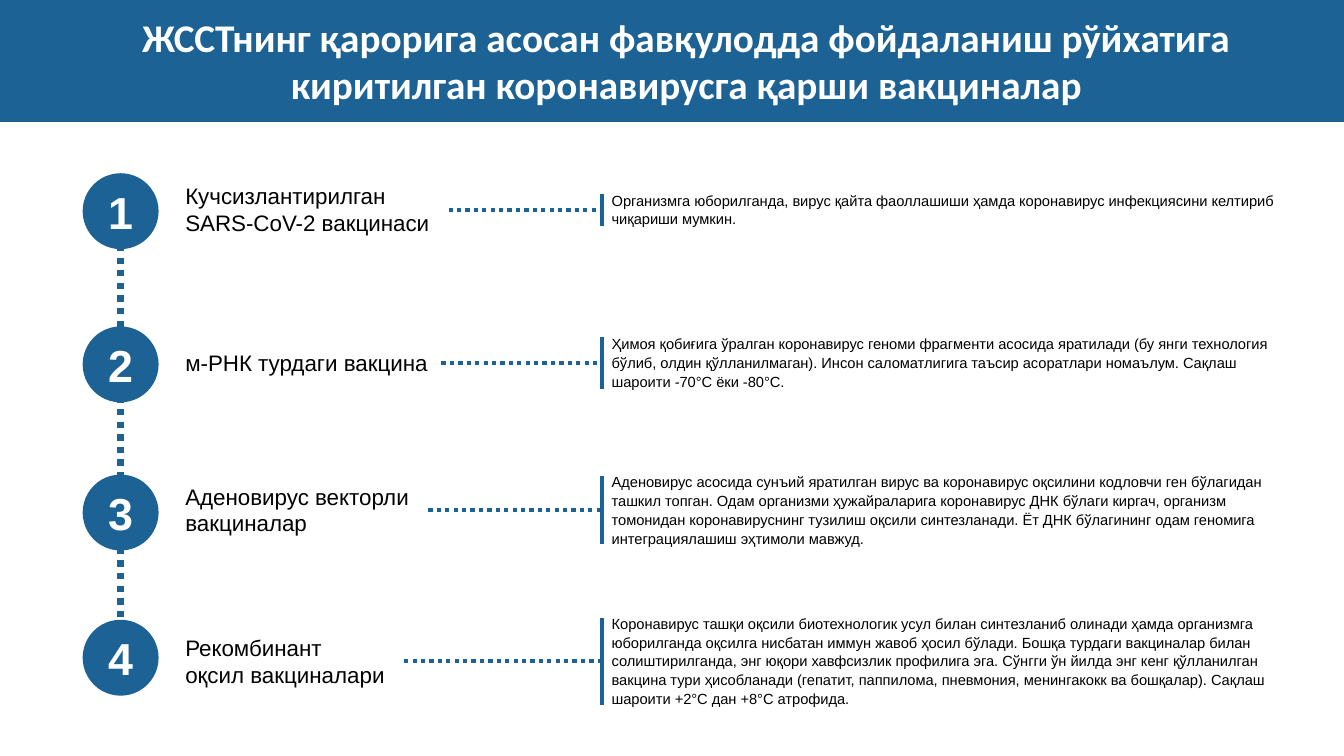
from lxml import etree
from pptx import Presentation
from pptx.dml.color import RGBColor
from pptx.enum.dml import MSO_LINE
from pptx.enum.shapes import MSO_CONNECTOR, MSO_SHAPE
from pptx.enum.text import MSO_ANCHOR, MSO_AUTO_SIZE, PP_ALIGN
from pptx.oxml.ns import qn
from pptx.util import Inches, Pt

RECT, OVAL = MSO_SHAPE.RECTANGLE, MSO_SHAPE.OVAL
STRAIGHT = MSO_CONNECTOR.STRAIGHT
DOTS = MSO_LINE.ROUND_DOT
LEFT, CENTER = PP_ALIGN.LEFT, PP_ALIGN.CENTER
TOP, MIDDLE = MSO_ANCHOR.TOP, MSO_ANCHOR.MIDDLE
GROW = MSO_AUTO_SIZE.SHAPE_TO_FIT_TEXT

COLORS = {"band": "1D6294", "blue": "1D6295", "white": "FFFFFF", "black": "000000"}
COLORS = {name: RGBColor.from_string(value) for name, value in COLORS.items()}

prs = Presentation()
prs.slide_width, prs.slide_height = Inches(13.33), Inches(7.5)
s = prs.slides.add_slide(prs.slide_layouts[6])

# Grid of 40 columns and 30 rows
C, R = prs.slide_width / 40, prs.slide_height / 30


def write(sp, text, size, font="Arial", color="black", bold=False, align=LEFT,
          anchor=TOP, wrap=True, grow=True, spacing=None, after=None):
    tf = sp.text_frame
    tf.word_wrap = wrap
    tf.vertical_anchor = anchor
    if grow:
        tf.auto_size = GROW
    p = tf.paragraphs[0]
    p.text = text
    p.alignment = align
    if spacing:
        p.line_spacing, p.space_after = spacing, Pt(after)
    for r in p.runs:
        r.font.name, r.font.size, r.font.bold = font, Pt(size), bold
        r.font.color.rgb = COLORS[color]


def add_line(x1, y1, x2, y2, width, dash=None):
    ln = s.shapes.add_connector(STRAIGHT, int(x1 * C), int(y1 * R),
                                int(x2 * C), int(y2 * R))
    ln.line.color.rgb = COLORS["blue"]
    ln.line.width = Pt(width)
    if dash:
        ln.line.dash_style = dash
    etree.SubElement(ln._element.spPr, qn("a:effectLst"))


# Title band
band = s.shapes.add_shape(RECT, 0, 0, prs.slide_width, int(4.84 * R))
band.shadow.inherit = False
band.fill.solid()
band.fill.fore_color.rgb = COLORS["band"]
band.line.fill.background()
title = s.shapes.add_textbox(int(1.56 * C), int(0.32 * R), int(37.72 * C), int(4.16 * R))
write(title, "ЖССТнинг қарорига асосан фавқулодда фойдаланиш рўйхатига "
      "киритилган коронавирусга қарши вакциналар",
      28, font="Calibri", color="white", bold=True, align=CENTER)

# Rows: centre, circle centre, label, its width and height,
# description, its height, bar height, line spacing
ROWS = [
    (8.32, 8.38, "Кучсизлантирилган \nSARS-CoV-2 вакцинаси", 8.13, 2.56,
     "Организмга юборилганда, вирус қайта фаоллашиши ҳамда коронавирус "
     "инфекциясини келтириб чиқариши мумкин.", 1.8, 1.28, None),
    (14.4, 14.46, "м-РНК турдаги вакцина", 7.92, 1.48,
     "Ҳимоя қобиғига ўралган коронавирус геноми фрагменти асосида яратилади "
     "(бу янги технология бўлиб, олдин қўлланилмаган). Инсон саломатлигига "
     "таъсир асоратлари номаълум. Сақлаш шароити -70°C ёки -80°C.",
     2.68, 2.04, 1.07),
    (20.24, 20.34, "Аденовирус векторли \nвакциналар", 7.53, 2.56,
     "Аденовирус асосида сунъий яратилган вирус ва коронавирус оқсилини "
     "кодловчи ген бўлагидан ташкил топган. Одам организми ҳужайраларига "
     "коронавирус ДНК бўлаги киргач, организм томонидан коронавируснинг "
     "тузилиш оқсили синтезланади. Ёт ДНК бўлагининг одам геномига "
     "интеграциялашиш эҳтимоли мавжуд.", 3.44, 2.68, 1.07),
    (26.24, 26.1, "Рекомбинант \nоқсил вакциналари", 6.81, 2.56,
     "Коронавирус ташқи оқсили биотехнологик усул билан синтезланиб олинади "
     "ҳамда организмга юборилганда оқсилга нисбатан иммун жавоб ҳосил бўлади. "
     "Бошқа турдаги вакциналар билан солиштирилганда, энг юқори хавфсизлик "
     "профилига эга. Сўнгги ўн йилда энг кенг қўлланилган вакцина тури "
     "ҳисобланади (гепатит, паппилома, пневмония, менингакокк ва бошқалар). "
     "Сақлаш шароити +2°C дан +8°C атрофида.", 4.2, 3.44, 1.07),
]
SPINE, LABEL, BAR, DESC_W = 3.59, 5.22, 17.91, 20.5
DIAMETER = 2.01 * C

# Dotted spine behind the circles
add_line(SPINE, ROWS[0][1] + 1.34, SPINE, ROWS[-1][1] - 1.34, 4.5, DOTS)

for number, (y, circle_y, label, label_w, label_h,
             desc, desc_h, bar_h, spacing) in enumerate(ROWS, 1):
    # Numbered circle
    sp = s.shapes.add_shape(OVAL, int(SPINE * C - DIAMETER / 2),
                            int(circle_y * R - DIAMETER / 2), int(DIAMETER), int(DIAMETER))
    sp.shadow.inherit = False
    sp.fill.solid()
    sp.fill.fore_color.rgb = sp.line.color.rgb = COLORS["blue"]
    sp.line.width = Pt(6)
    write(sp, str(number), 32, color="white", bold=True, align=CENTER,
          anchor=MIDDLE, wrap=False, grow=False)

    # Vaccine type and description
    sp = s.shapes.add_textbox(int(LABEL * C), int((y - label_h / 2) * R),
                              int(label_w * C), int(label_h * R))
    write(sp, label, 16, wrap=False)
    sp = s.shapes.add_textbox(int(BAR * C), int((y - desc_h / 2) * R),
                              int(DESC_W * C), int(desc_h * R))
    write(sp, desc, 10.5, spacing=spacing, after=4)

    # Dotted leader and vertical bar
    add_line(LABEL + label_w, y, BAR, y, 3, DOTS)
    add_line(BAR, y - bar_h / 2, BAR, y + bar_h / 2, 3)

prs.save("out.pptx")
